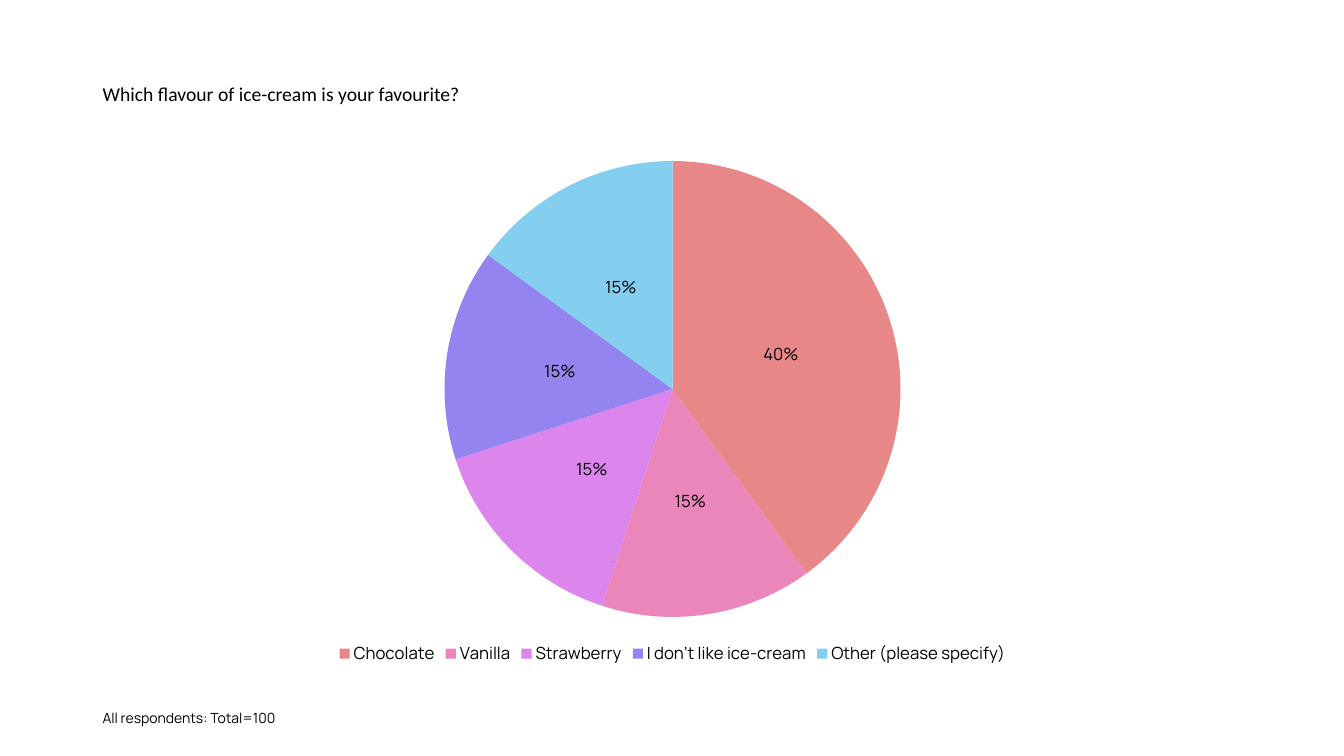
from pptx import Presentation
from pptx.chart.data import CategoryChartData
from pptx.dml.color import RGBColor
from pptx.enum.chart import XL_CHART_TYPE as Kind
from pptx.enum.chart import XL_LABEL_POSITION as Spot
from pptx.enum.chart import XL_LEGEND_POSITION as Side
from pptx.enum.text import MSO_ANCHOR as Anchor
from pptx.util import Inches, Pt

BLACK = RGBColor(0x00, 0x00, 0x00)
CORAL = RGBColor(0xE8, 0x87, 0x87)
PINK = RGBColor(0xEA, 0x86, 0xBA)
ORCHID = RGBColor(0xDB, 0x85, 0xED)
VIOLET = RGBColor(0x94, 0x84, 0xEF)
SKY = RGBColor(0x84, 0xCE, 0xEF)

FLAVOURS = [
    ("Chocolate", 0.4, CORAL),
    ("Vanilla", 0.15, PINK),
    ("Strawberry", 0.15, ORCHID),
    ("I don't like ice-cream", 0.15, VIOLET),
    ("Other (please specify)", 0.15, SKY),
]


def style(font, name="Manrope", size=12, color=BLACK):
    font.name = name
    font.size = Pt(size)
    font.color.rgb = color


class Page:
    def __init__(self, slide):
        self.slide = slide

    def text(self, words, box, spacing=1.0, **look):
        frame = self.slide.shapes.add_textbox(*map(Inches, box)).text_frame
        frame.word_wrap = True
        frame.vertical_anchor = Anchor.MIDDLE
        para = frame.paragraphs[0]
        para.line_spacing = spacing
        run = para.add_run()
        run.text = words
        style(run.font, **look)

    def pie(self, rows, box):
        names, shares, colors = zip(*rows)
        data = CategoryChartData(number_format="0%")
        data.categories = names
        data.add_series("Series 1", shares)
        chart = self.slide.shapes.add_chart(Kind.PIE, *map(Inches, box), data).chart
        chart.has_title = False
        style(chart.font, size=18)

        chart.has_legend = True
        chart.legend.position = Side.BOTTOM
        chart.legend.include_in_layout = False
        style(chart.legend.font)

        plot = chart.plots[0]
        plot.vary_by_categories = True
        for i, color in enumerate(colors):
            fill = plot.series[0].points[i].format.fill
            fill.solid()
            fill.fore_color.rgb = color

        labels = plot.series[0].data_labels
        labels.show_value = True
        labels.position = Spot.CENTER
        labels.number_format = "0%"
        labels.number_format_is_linked = False
        style(labels.font)


def main():
    deck = Presentation()
    deck.slide_width = Inches(13.33)
    deck.slide_height = Inches(7.5)
    page = Page(deck.slides.add_slide(deck.slide_layouts[6]))
    page.text("Which flavour of ice-cream is your favourite?",
              (0.92, 0.41, 10.37, 1.04), name="Calibri", size=14)
    page.pie(FLAVOURS, (0.92, 1.46, 11.5, 5.18))
    page.text("All respondents: Total=100",
              (0.92, 6.77, 11.5, 0.73), spacing=0.9, size=10)
    deck.save("out.pptx")


if __name__ == "__main__":
    main()
